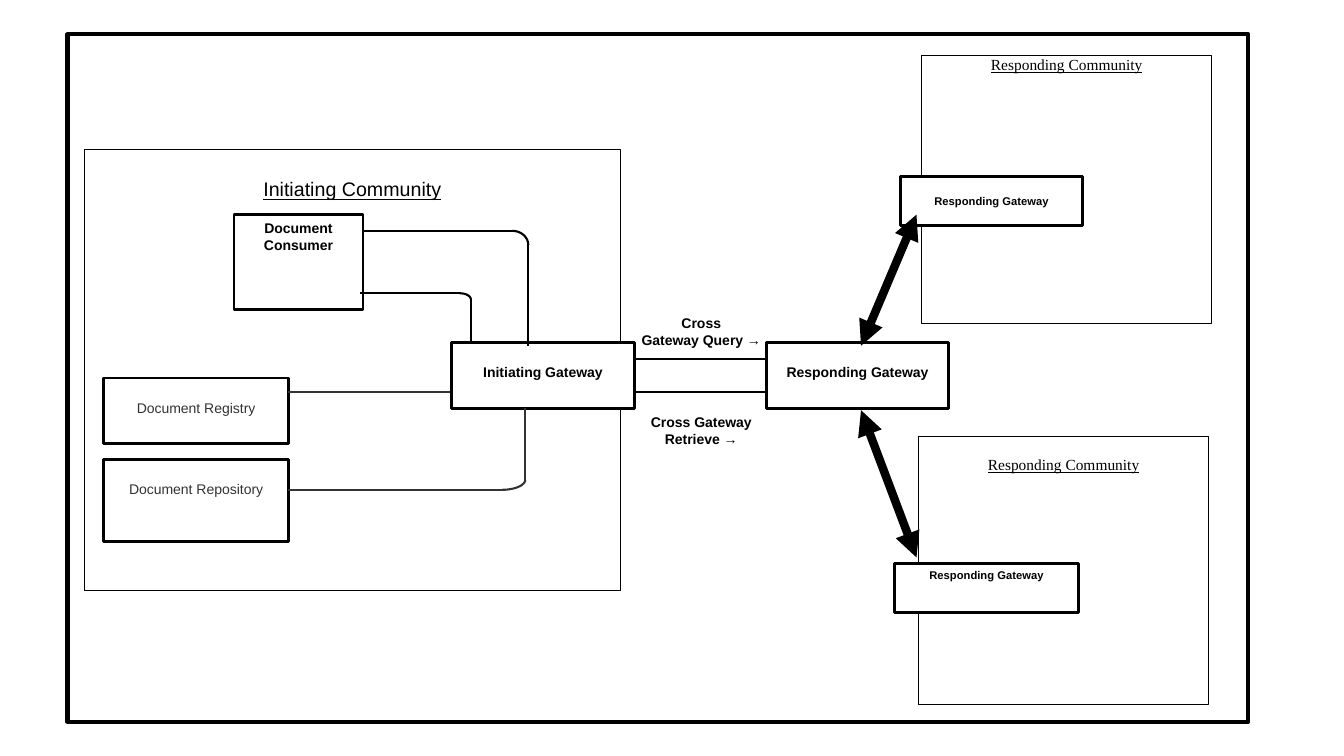
from math import cos, pi, sin
from lxml.etree import SubElement
from pptx import Presentation
from pptx.dml.color import RGBColor as RGB
from pptx.enum.shapes import MSO_CONNECTOR as Link, MSO_SHAPE as Kind
from pptx.enum.text import MSO_ANCHOR as Anchor, PP_ALIGN as Align
from pptx.oxml.ns import qn
from pptx.util import Inches, Pt

BLACK, GREY, WHITE = "000000", "333333", "FFFFFF"
SANS, SERIF = "Arial", "Times New Roman"


def paint(target, color):
    if hasattr(target, "solid"):
        target.solid()
        target = target.fore_color
    target.rgb = RGB.from_string(color)


class Board:
    def __init__(self, slide):
        self.shapes = slide.shapes

    def stroke(self, shape, width, color=BLACK):
        paint(shape.line.color, color)
        shape.line.width = Pt(width)

    def letter(self, shape, text, size, top, side=0.1, font=SANS,
               color=BLACK, bold=False, under=False, arrow=False):
        frame = shape.text_frame
        frame.word_wrap = True
        frame.vertical_anchor = Anchor.TOP
        frame.margin_left = frame.margin_right = Inches(side)
        frame.margin_top, frame.margin_bottom = Inches(top), 0
        frame.text = text
        if arrow:
            frame.paragraphs[-1].add_run().text = "→"
        for para in frame.paragraphs:
            para.alignment = Align.CENTER
            for run in para.runs:
                run.font.size = Pt(size)
                run.font.name = SERIF if run.text == "→" else font
                run.font.bold = bold
                run.font.underline = under
                paint(run.font.color, color)

    def box(self, place, width, fill=WHITE):
        shape = self.shapes.add_shape(Kind.RECTANGLE, *map(Inches, place))
        shape.shadow.inherit = False
        if fill:
            paint(shape.fill, fill)
        else:
            shape.fill.background()
        self.stroke(shape, width)
        return shape

    def area(self, place, text, size, top, **style):
        self.letter(self.box(place, 0.75), text, size, top, under=True, **style)

    def actor(self, place, text, size=10, top=0.21, bold=True, color=BLACK):
        self.letter(self.box(place, 2), text, size, top, bold=bold, color=color)

    def label(self, place, text):
        shape = self.shapes.add_textbox(*map(Inches, place))
        self.letter(shape, text, 10, 0.21, bold=True, arrow=True)

    def wire(self, start, end, color=BLACK, width=1.5, heads=False):
        line = self.shapes.add_connector(
            Link.STRAIGHT, *map(Inches, start + end))
        self.stroke(line, width, color)
        props = line._element.spPr
        if heads:
            for tag in ("a:headEnd", "a:tailEnd"):
                SubElement(props.find(qn("a:ln")), qn(tag), type="triangle")
        SubElement(props, qn("a:effectLst"))

    def bend(self, start, end, color=BLACK):
        (x, y), (right, low) = start, end
        steps = [k * pi / 24 for k in range(13)]
        dots = [(Inches(x + (right - x) * sin(t)),
                 Inches(low + (y - low) * cos(t))) for t in steps]
        outline = self.shapes.build_freeform(*dots[0])
        outline.add_line_segments(dots[1:], close=False)
        curve = outline.convert_to_shape()
        curve.shadow.inherit = False
        curve.fill.background()
        self.stroke(curve, 1.5, color)

    def elbow(self, start, turn, end, color=BLACK):
        self.wire(start, (turn[0], start[1]), color)
        self.bend((turn[0], start[1]), (end[0], turn[1]), color)
        self.wire((end[0], turn[1]), end, color)


def main():
    deck = Presentation()
    deck.slide_width, deck.slide_height = Inches(13.33), Inches(7.5)
    board = Board(deck.slides.add_slide(deck.slide_layouts[6]))

    board.box((0.67, 0.34, 11.71, 6.82), 3, None)
    board.area((0.84, 1.48, 5.31, 4.38), "Initiating Community", 14, 0.28)
    for place, top in (((9.14, 0.55, 2.88, 2.66), 0),
                       ((9.11, 4.33, 2.88, 2.66), 0.19)):
        board.area(place, "Responding Community", 11, top, side=0, font=SERIF)

    board.actor((4.48, 3.4, 1.81, 0.65), "Initiating Gateway")
    board.actor((7.6, 3.4, 1.81, 0.65), "Responding Gateway")
    board.actor((2.32, 2.13, 1.28, 0.94), "Document Consumer", top=0.05)
    for name, top, height in (("Registry", 3.75, 0.65),
                              ("Repository", 4.56, 0.81)):
        board.actor((1.03, top, 1.83, height), f"Document {name}",
                    bold=False, color=GREY)
    for place, top in (((8.93, 1.75, 1.81, 0.49), 0.18),
                       ((8.87, 5.59, 1.83, 0.49), 0.05)):
        board.actor(place, "Responding Gateway", 8, top)

    board.elbow((3.59, 2.29), (5.08, 2.43), (5.24, 3.43))
    board.elbow((3.57, 2.91), (4.56, 2.97), (4.67, 3.4))
    board.elbow((2.86, 4.86), (4.98, 4.76), (5.21, 4.05), GREY)
    board.wire((4.46, 3.89), (2.86, 3.89), GREY)
    for y in (3.56, 3.89):
        board.wire((7.6, y), (6.31, y))

    board.label((6.13, 2.91, 1.65, 0.65), "Cross\nGateway Query ")
    board.label((6.13, 3.89, 1.65, 0.65), "Cross Gateway Retrieve ")
    board.wire((9.09, 2.13), (8.54, 3.43), width=6, heads=True)
    board.wire((8.54, 4.07), (9.09, 5.53), width=6, heads=True)
    deck.save("out.pptx")


if __name__ == "__main__":
    main()
